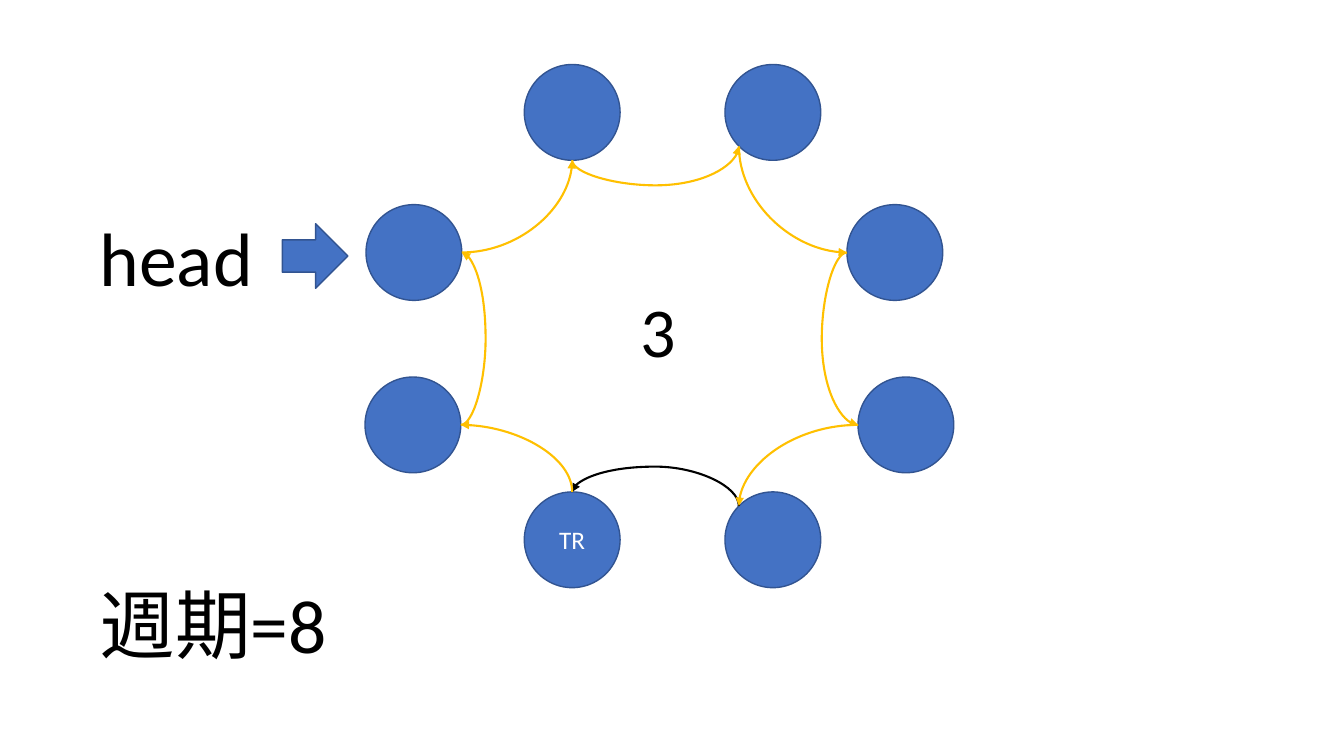
from dataclasses import dataclass

from lxml.etree import SubElement
from pptx import Presentation
from pptx.dml.color import RGBColor
from pptx.enum.shapes import MSO_CONNECTOR, MSO_SHAPE
from pptx.enum.text import MSO_ANCHOR, MSO_AUTO_SIZE, PP_ALIGN
from pptx.oxml.ns import qn
from pptx.slide import Slide
from pptx.util import Inches, Pt

BLUE = RGBColor(0x44, 0x72, 0xC4)
DARK_BLUE = RGBColor(0x32, 0x54, 0x91)
GOLD = RGBColor(0xFF, 0xC0, 0x00)
BLACK = RGBColor(0, 0, 0)
WHITE = RGBColor(0xFF, 0xFF, 0xFF)
FONT = "Calibri"
DIAMETER = 0.95
NEAR_CORNER = 0.146

# Where a link touches a node, as fractions of the node's box.
PORTS = {
    "left": (0, 0.5),
    "right": (1, 0.5),
    "top": (0.5, 0),
    "bottom": (0.5, 1),
    "top left": (NEAR_CORNER, NEAR_CORNER),
    "bottom left": (NEAR_CORNER, 1 - NEAR_CORNER),
}


@dataclass(frozen=True)
class Node:
    left: float
    top: float
    port: str
    text: str = ""

    def touch_point(self) -> tuple[float, float]:
        across, down = PORTS[self.port]
        return self.left + across * DIAMETER, self.top + down * DIAMETER


@dataclass(frozen=True)
class Link:
    """A curve between two nodes; a bulge makes it bow out and return."""
    start: str
    end: str
    vertical: bool
    bulge: float = 0
    color: RGBColor = GOLD


@dataclass(frozen=True)
class Label:
    text: str
    left: float
    top: float
    width: float
    height: float
    size: int


NODES = {
    "lower left": Node(3.62, 3.74, "right"),
    "bottom left": Node(5.2, 4.88, "top", "TR"),
    "upper left": Node(3.63, 2.03, "right"),
    "top left": Node(5.2, 0.64, "bottom"),
    "top right": Node(7.19, 0.64, "bottom left"),
    "lower right": Node(8.51, 3.74, "left"),
    "upper right": Node(8.4, 2.03, "left"),
    "bottom right": Node(7.19, 4.88, "top left"),
}

LINKS = [
    Link("lower left", "upper left", False, 0.25),
    Link("bottom right", "bottom left", True, -0.39, BLACK),
    Link("upper left", "top left", False),
    Link("bottom left", "lower left", True),
    Link("top left", "top right", True, 0.25),
    Link("top right", "upper right", True),
    Link("upper right", "lower right", False, -0.25),
    Link("lower right", "bottom right", False),
]

LABELS = [
    Label("head", 0.89, 2.04, 1.74, 1.01, 54),
    Label("3", 6.25, 2.8, 0.55, 0.95, 50),
    Label("週期=8", 0.89, 5.68, 2.46, 1.01, 54),
]


def add_blue_shape(slide: Slide, kind: MSO_SHAPE, left: float, top: float,
                   width: float, height: float, text: str = "") -> None:
    shape = slide.shapes.add_shape(kind, Inches(left), Inches(top), Inches(width), Inches(height))
    shape.shadow.inherit = False
    shape.fill.solid()
    shape.fill.fore_color.rgb = BLUE
    shape.line.color.rgb = DARK_BLUE
    shape.line.width = Pt(1)
    if text:
        shape.text_frame.text = text
        shape.text_frame.vertical_anchor = MSO_ANCHOR.MIDDLE
        paragraph = shape.text_frame.paragraphs[0]
        paragraph.alignment = PP_ALIGN.CENTER
        paragraph.font.name = FONT
        paragraph.font.size = Pt(18)
        paragraph.font.color.rgb = WHITE


def add_label(slide: Slide, label: Label) -> None:
    box = slide.shapes.add_textbox(Inches(label.left), Inches(label.top),
                                   Inches(label.width), Inches(label.height))
    frame = box.text_frame
    frame.word_wrap = True
    frame.auto_size = MSO_AUTO_SIZE.SHAPE_TO_FIT_TEXT
    frame.text = label.text
    font = frame.paragraphs[0].font
    font.name = FONT
    font.size = Pt(label.size)
    font.color.rgb = BLACK


def add_link(slide: Slide, link: Link) -> None:
    """Draw a curve; one that leaves vertically is laid flat, then turned by 90°."""
    start_x, start_y = NODES[link.start].touch_point()
    end_x, end_y = NODES[link.end].touch_point()
    run, rise = end_x - start_x, end_y - start_y
    center_x, center_y = (start_x + end_x) / 2, (start_y + end_y) / 2
    if link.vertical:
        run, rise = rise, -run
    connector = slide.shapes.add_connector(
        MSO_CONNECTOR.CURVE,
        Inches(center_x - run / 2), Inches(center_y - rise / 2),
        Inches(center_x + run / 2), Inches(center_y + rise / 2))
    connector.line.color.rgb = link.color
    connector.line.width = Pt(1.5)

    properties = connector._element.spPr
    if link.vertical:
        properties.find(qn("a:xfrm")).set("rot", "5400000")
    geometry = properties.find(qn("a:prstGeom"))
    if link.bulge:
        adjustment = round(link.bulge / run * 100000)
        SubElement(geometry.find(qn("a:avLst")), qn("a:gd"),
                   name="adj1", fmla=f"val {adjustment}")
    else:
        geometry.set("prst", "curvedConnector2")
    SubElement(properties.find(qn("a:ln")), qn("a:tailEnd"), type="triangle")
    SubElement(properties, qn("a:effectLst"))


def main() -> None:
    presentation = Presentation()
    presentation.slide_width = Inches(13.33)
    presentation.slide_height = Inches(7.5)
    slide = presentation.slides.add_slide(presentation.slide_layouts[6])
    for node in NODES.values():
        add_blue_shape(slide, MSO_SHAPE.OVAL, node.left, node.top, DIAMETER, DIAMETER, node.text)
    add_blue_shape(slide, MSO_SHAPE.RIGHT_ARROW, 2.8, 2.22, 0.65, 0.64)
    for label in LABELS:
        add_label(slide, label)
    for link in LINKS:
        add_link(slide, link)
    presentation.save("out.pptx")


if __name__ == "__main__":
    main()
